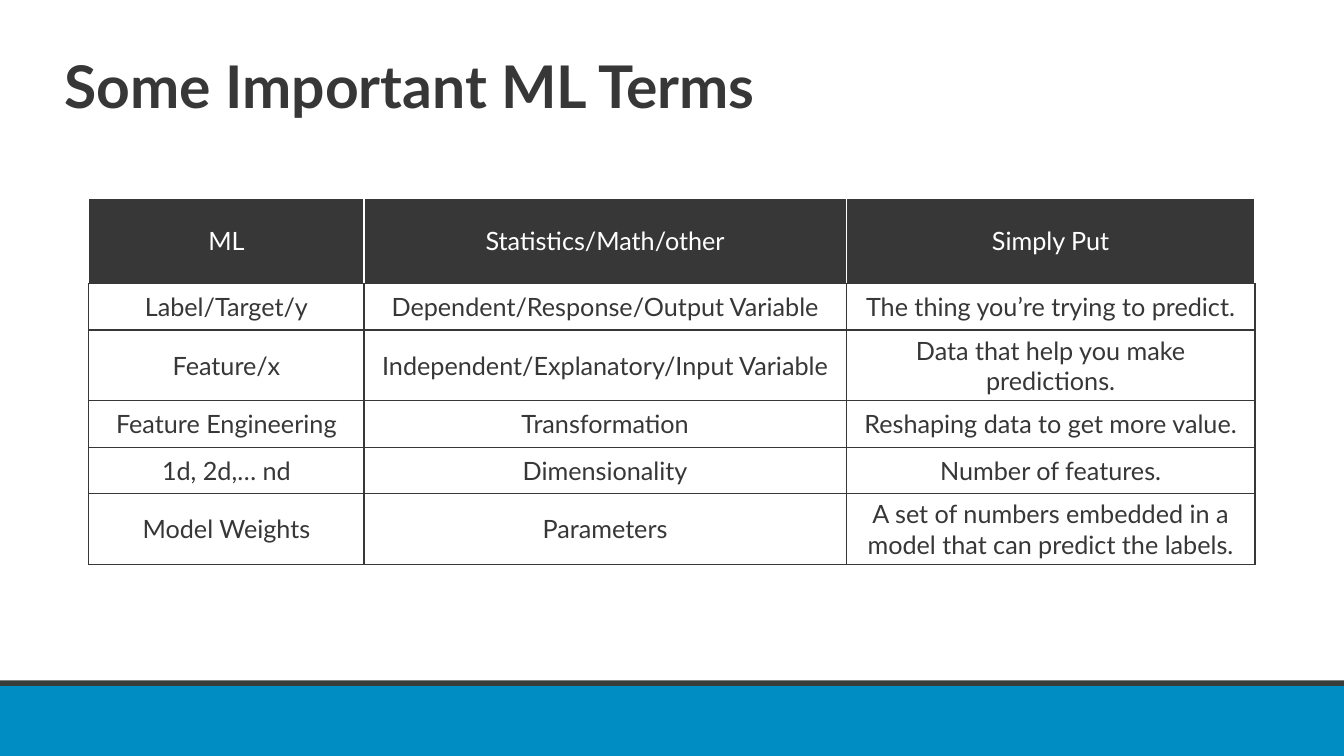
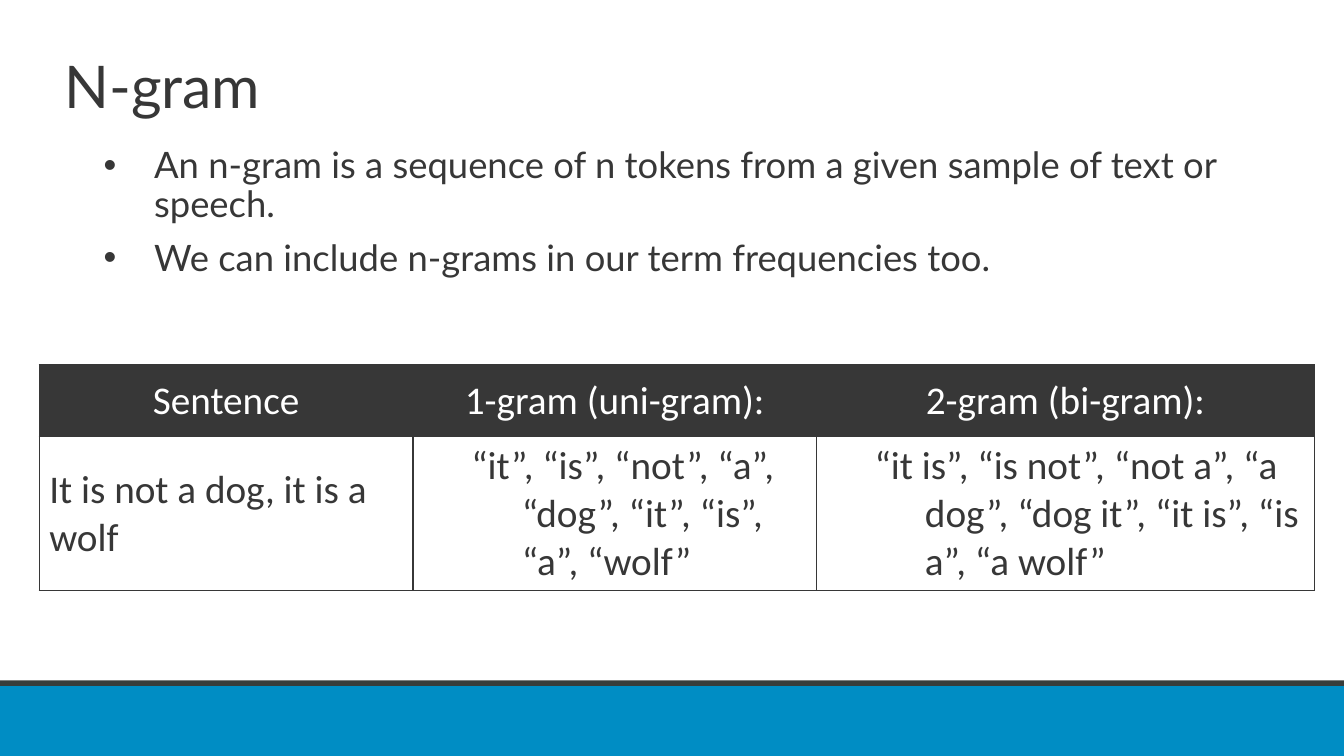
from lxml import etree
from pptx import Presentation
from pptx.dml.color import RGBColor
from pptx.enum.shapes import MSO_SHAPE
from pptx.enum.text import MSO_ANCHOR, PP_ALIGN
from pptx.oxml.ns import qn
from pptx.util import Pt

SLIDE_WIDTH, SLIDE_HEIGHT = 960, 540
WHITE = RGBColor(0xFF, 0xFF, 0xFF)
CHARCOAL = RGBColor(0x37, 0x37, 0x37)
RULE_GRAY = RGBColor(0x38, 0x3D, 0x3B)
BLUE = RGBColor(0x00, 0x8D, 0xC4)
LATO, CALIBRI = "Lato", "Calibri"
LINE_SPACING = 0.9
HANGING_INDENT = 36

TERMS = [
    ["ML", "Statistics/Math/other", "Simply Put"],
    ["Label/Target/y", "Dependent/Response/Output Variable",
     "The thing you’re trying to predict."],
    ["Feature/x", "Independent/Explanatory/Input Variable",
     "Data that help you make predictions."],
    ["Feature Engineering", "Transformation",
     "Reshaping data to get more value."],
    ["1d, 2d,… nd", "Dimensionality", "Number of features."],
    ["Model Weights", "Parameters",
     "A set of numbers embedded in a model that can predict the labels."],
]
NGRAM_POINTS = [
    "An n-gram is a sequence of n tokens from a given sample of text or speech.",
    "We can include n-grams in our term frequencies too.",
]
NGRAMS = [
    ["Sentence", "1-gram (uni-gram):", "2-gram (bi-gram):"],
    ["It is not a dog, it is a wolf",
     "“it”, “is”, “not”, “a”, “dog”, “it”, “is”, “a”, “wolf”",
     "“it is”, “is not”, “not a”, “a dog”, “dog it”, “it is”, “is a”, “a wolf”"],
]


def set_font(paragraph, name, size, color, bold=False):
    for run in paragraph.runs:
        run.font.name = name
        run.font.size = Pt(size)
        run.font.color.rgb = color
        run.font.bold = bold


def hang(paragraph, left):
    """Indent a paragraph with its first line hanging out to the left."""
    properties = paragraph._p.get_or_add_pPr()
    properties.set("marL", str(Pt(left)))
    properties.set("indent", str(Pt(-HANGING_INDENT)))
    return properties


def add_band(slide, top, height, color):
    band = slide.shapes.add_shape(
        MSO_SHAPE.RECTANGLE, 0, Pt(top), Pt(SLIDE_WIDTH), Pt(height))
    band.shadow.inherit = False
    band.fill.solid()
    band.fill.fore_color.rgb = color
    band.line.fill.background()


def add_text_frame(slide, left, top, width, height):
    frame = slide.shapes.add_textbox(
        Pt(left), Pt(top), Pt(width), Pt(height)).text_frame
    frame.word_wrap = True
    return frame


def add_titled_slide(deck, title, bold=False):
    """Add a slide with the shared footer bands and title style."""
    slide = deck.slides.add_slide(deck.slide_layouts[6])
    add_band(slide, 490, 50, BLUE)
    add_band(slide, 486, 4, RULE_GRAY)
    frame = add_text_frame(slide, 39, 37.5, 828, 78)
    frame.text = title
    heading = frame.paragraphs[0]
    heading.line_spacing = LINE_SPACING
    set_font(heading, LATO, 42, CHARCOAL, bold)
    return slide


def add_bullets(slide, points):
    frame = add_text_frame(slide, 67, 101.5, 854, 110)
    frame.text = "\n".join(points)
    for number, paragraph in enumerate(frame.paragraphs):
        properties = hang(paragraph, HANGING_INDENT)
        etree.SubElement(properties, qn("a:buFont"), typeface="Arial")
        etree.SubElement(properties, qn("a:buChar"), char="•")
        paragraph.line_spacing = LINE_SPACING
        if number:
            paragraph.space_before = Pt(10)
        set_font(paragraph, LATO, 26, CHARCOAL)


def set_borders(cell, side_color):
    """Draw all four cell edges; the bottom one is always charcoal."""
    properties = cell._tc.get_or_add_tcPr()
    for side in "LRTB":
        color = CHARCOAL if side == "B" else side_color
        line = etree.SubElement(properties, qn(f"a:ln{side}"), w=str(Pt(1)))
        fill = etree.SubElement(line, qn("a:solidFill"))
        etree.SubElement(fill, qn("a:srgbClr"), val=str(color))


def add_table(slide, rows, left, top, widths, heights, font, size,
              header_border=CHARCOAL):
    table = slide.shapes.add_table(
        len(rows), len(widths), Pt(left), Pt(top),
        Pt(sum(widths)), Pt(sum(heights))).table
    table.horz_banding = False
    for column, width in zip(table.columns, widths):
        column.width = Pt(width)
    for number, (row, height, texts) in enumerate(
            zip(table.rows, heights, rows)):
        row.height = Pt(height)
        is_header = number == 0
        for cell, text in zip(row.cells, texts):
            set_borders(cell, header_border if is_header else CHARCOAL)
            if is_header:
                cell.fill.solid()
                cell.fill.fore_color.rgb = CHARCOAL
            else:
                cell.fill.background()
            cell.vertical_anchor = MSO_ANCHOR.MIDDLE
            cell.text_frame.text = text
            paragraph = cell.text_frame.paragraphs[0]
            paragraph.alignment = PP_ALIGN.CENTER
            set_font(paragraph, font, size, WHITE if is_header else CHARCOAL)
    return table


def add_terms_slide(deck):
    slide = add_titled_slide(deck, "Some Important ML Terms", bold=True)
    one_line, two_lines = 33.3, 50.3
    add_table(slide, TERMS, 63.5, 141.5, [196.5, 344.5, 292],
              [61, one_line, two_lines, one_line, one_line, two_lines],
              LATO, 18, header_border=WHITE)


def add_ngram_slide(deck):
    slide = add_titled_slide(deck, "N-gram")
    add_bullets(slide, NGRAM_POINTS)
    table = add_table(slide, NGRAMS, 28, 260.5, [267, 288, 356],
                      [51.5, 110], CALIBRI, 28)
    sentence, *grams = [cell.text_frame.paragraphs[0]
                        for cell in table.rows[1].cells]
    sentence.alignment = PP_ALIGN.LEFT
    for gram in grams:
        gram.alignment = PP_ALIGN.LEFT
        hang(gram, 70.5)


def main():
    deck = Presentation()
    deck.slide_width = Pt(SLIDE_WIDTH)
    deck.slide_height = Pt(SLIDE_HEIGHT)
    add_terms_slide(deck)
    add_ngram_slide(deck)
    deck.save("out.pptx")


if __name__ == "__main__":
    main()
